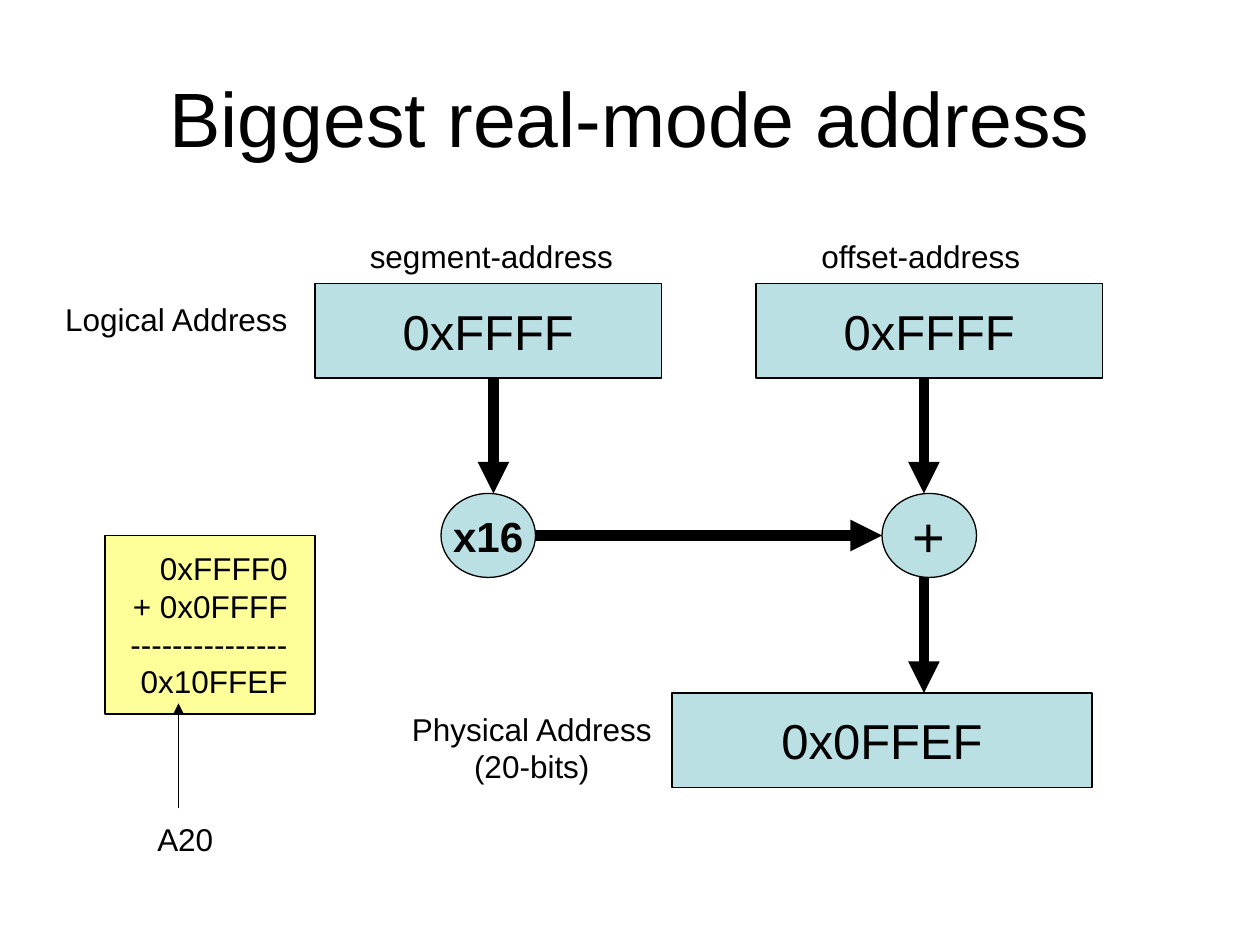
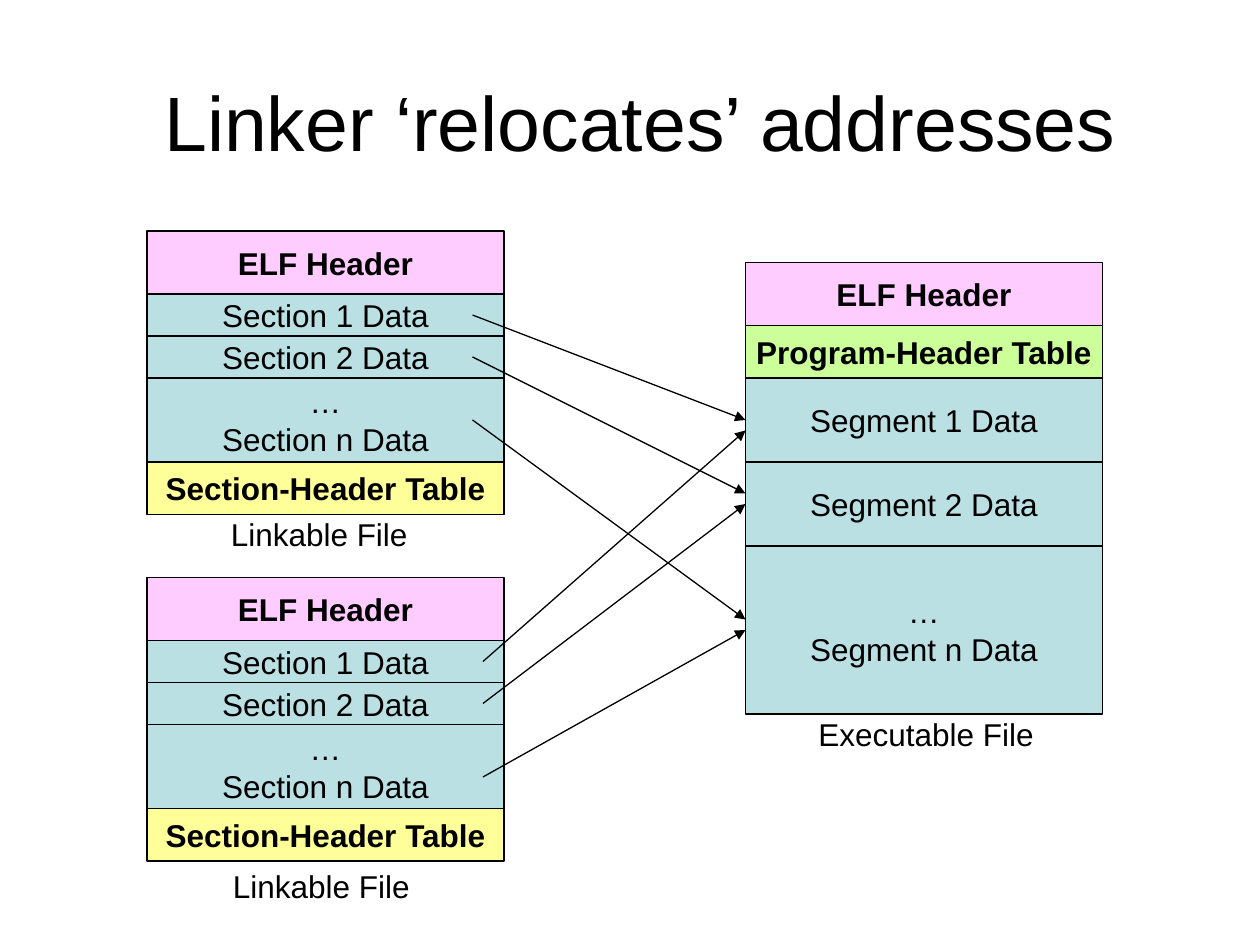
"""Build two slides on memory addressing and linker relocation."""
import lxml.etree
import pptx
import pptx.dml.color
import pptx.enum.shapes
import pptx.enum.text
import pptx.oxml.ns
import pptx.util

FONT = "Arial"
BLACK, WHITE = "000000", "FFFFFF"
BLUE, PINK, YELLOW, GREEN = "BBE0E3", "FFCCFF", "FFFF99", "CCFF99"
GRID_PER_INCH = 12
FILE_WIDTH = 34
RECTANGLE = pptx.enum.shapes.MSO_SHAPE.RECTANGLE
OVAL = pptx.enum.shapes.MSO_SHAPE.OVAL
ALIGN = pptx.enum.text.PP_ALIGN
ANCHOR = pptx.enum.text.MSO_ANCHOR

LINKABLE_ROWS = [
    (PINK, 6, ["ELF Header"], True),
    (BLUE, 4, ["Section 1 Data"], False),
    (BLUE, 4, ["Section 2 Data"], False),
    (BLUE, 8, ["…", "Section n Data"], False),
    (YELLOW, 5, ["Section-Header Table"], True),
]
EXECUTABLE_ROWS = [
    (PINK, 6, ["ELF Header"], True),
    (GREEN, 5, ["Program-Header Table"], True),
    (BLUE, 8, ["Segment 1 Data"], False),
    (BLUE, 8, ["Segment 2 Data"], False),
    (BLUE, 16, ["…", "Segment n Data"], False),
]


def grid(units):
    """Turn grid units of a twelfth of an inch into a length."""
    return pptx.util.Cm(units * 2.54 / GRID_PER_INCH)


def color(value):
    """Turn a hex string into a colour."""
    return pptx.dml.color.RGBColor.from_string(value)


def write_lines(frame, lines, size, bold=False, align=ALIGN.CENTER):
    """Write one paragraph for each line."""
    for index, line in enumerate(lines):
        paragraph = frame.add_paragraph() if index else frame.paragraphs[0]
        paragraph.alignment = align
        run = paragraph.add_run()
        run.text = line
        run.font.name = FONT
        run.font.size = pptx.util.Pt(size)
        run.font.bold = bold
        run.font.color.rgb = color(BLACK)


def add_box(slide, box, lines, size=18, fill=BLUE, bold=False,
            kind=RECTANGLE, align=ALIGN.CENTER):
    """Add an outlined shape with text and return it."""
    shape = slide.shapes.add_shape(kind, *map(grid, box))
    shape.shadow.inherit = False
    shape.fill.solid()
    shape.fill.fore_color.rgb = color(fill)
    shape.line.color.rgb = color(BLACK)
    shape.line.width = pptx.util.Pt(0.75)
    frame = shape.text_frame
    frame.word_wrap = False
    frame.vertical_anchor = ANCHOR.MIDDLE
    write_lines(frame, lines, size, bold, align)
    return shape


def add_label(slide, box, lines, size=18, anchor=ANCHOR.TOP, wrap=False):
    """Add a centred text box."""
    frame = slide.shapes.add_textbox(*map(grid, box)).text_frame
    frame.word_wrap = wrap
    frame.vertical_anchor = anchor
    write_lines(frame, lines, size)


def add_arrow(slide, start, end, width=0.75):
    """Add a straight arrow pointing at its end."""
    connector = slide.shapes.add_connector(
        pptx.enum.shapes.MSO_CONNECTOR.STRAIGHT, *map(grid, (*start, *end)))
    connector.line.color.rgb = color(BLACK)
    connector.line.width = pptx.util.Pt(width)
    qn = pptx.oxml.ns.qn
    properties = connector.element.spPr
    lxml.etree.SubElement(properties.find(qn("a:ln")), qn("a:tailEnd"), type="triangle")
    lxml.etree.SubElement(properties, qn("a:effectLst"))


def add_titled_slide(presentation, title, left, top):
    """Add a blank slide with a white background and a title."""
    slide = presentation.slides.add_slide(presentation.slide_layouts[6])
    slide.background.fill.solid()
    slide.background.fill.fore_color.rgb = color(WHITE)
    add_label(slide, (left, top, 108, 15), [title], 44, ANCHOR.MIDDLE, True)
    return slide


def add_address_diagram(slide, left, top):
    """Draw how segment and offset form a physical address."""
    for x, y, width, text in ((0, 0, 33, "0xFFFF"), (42, 0, 33, "0xFFFF"),
                              (34, 39, 40, "0x0FFEF")):
        add_box(slide, (left + x, top + y, width, 9), [text], 28)
    for x, text, size, bold in ((12, "x16", 24, True), (54, "+", 32, False)):
        add_box(slide, (left + x, top + 20, 9, 8), [text], size, bold=bold, kind=OVAL)
    for x1, y1, x2, y2 in ((58, 9, 58, 20), (17, 9, 17, 20),
                           (21, 24, 54, 24), (58, 28, 58, 39)):
        add_arrow(slide, (left + x1, top + y1), (left + x2, top + y2), 6)
    for x, y, width, lines in (
            (4, -5, 25.6, ["segment-address"]),
            (47, -5, 21.4, ["offset-address"]),
            (-25, 1, 23.6, ["Logical Address"]),
            (8, 40, 25.3, ["Physical Address", "(20-bits)"])):
        add_label(slide, (left + x, top + y, width, 4.8 * len(lines)), lines)


def add_sum_note(slide, left, top):
    """Draw the hexadecimal sum with its marked carry bit."""
    lines = ["0xFFFF0", "+ 0x0FFFF", "-" * 15, "0x10FFEF"]
    note = add_box(slide, (left, top, 20, 17), lines, fill=YELLOW, align=ALIGN.RIGHT)
    note.text_frame.margin_right = grid(2.6)
    add_arrow(slide, (left + 7, top + 26), (left + 7, top + 16))
    add_label(slide, (left + 3.8, top + 26.5, 7.7, 4.8), ["A20"])


def add_file_map(slide, left, top, rows, caption, shift=0, drop=0):
    """Stack the parts of a file and put a caption below."""
    for fill, height, lines, bold in rows:
        add_box(slide, (left, top, FILE_WIDTH, height), lines, fill=fill, bold=bold)
        top += height
    add_label(slide, (left + shift, top + drop, FILE_WIDTH, 4.8), [caption])


def add_relocation_arrows(slide, left, right, first_tops, second_tops, targets):
    """Link the sections of both linkable files to the segments."""
    for first, second, target in zip(first_tops, second_tops, targets):
        add_arrow(slide, (left, first), (right, target))
        add_arrow(slide, (left + 1, second), (right, target + 1))


def main():
    """Build and save the presentation."""
    presentation = pptx.Presentation()
    presentation.slide_width, presentation.slide_height = grid(120), grid(90)

    slide = add_titled_slide(presentation, "Biggest real-mode address", 6, 3.6)
    add_address_diagram(slide, 30, 27)
    add_sum_note(slide, 10, 51)

    slide = add_titled_slide(presentation, "Linker ‘relocates’ addresses", 7, 4)
    add_file_map(slide, 14, 22, LINKABLE_ROWS, "Linkable File", -0.6, -0.5)
    add_file_map(slide, 14, 55, LINKABLE_ROWS, "Linkable File", -0.4)
    add_file_map(slide, 71, 25, EXECUTABLE_ROWS, "Executable File", 0.2, -0.5)
    add_relocation_arrows(slide, 45, 71, (30, 34, 40), (63, 67, 74), (40, 47, 59))

    presentation.save("out.pptx")


if __name__ == "__main__":
    main()
